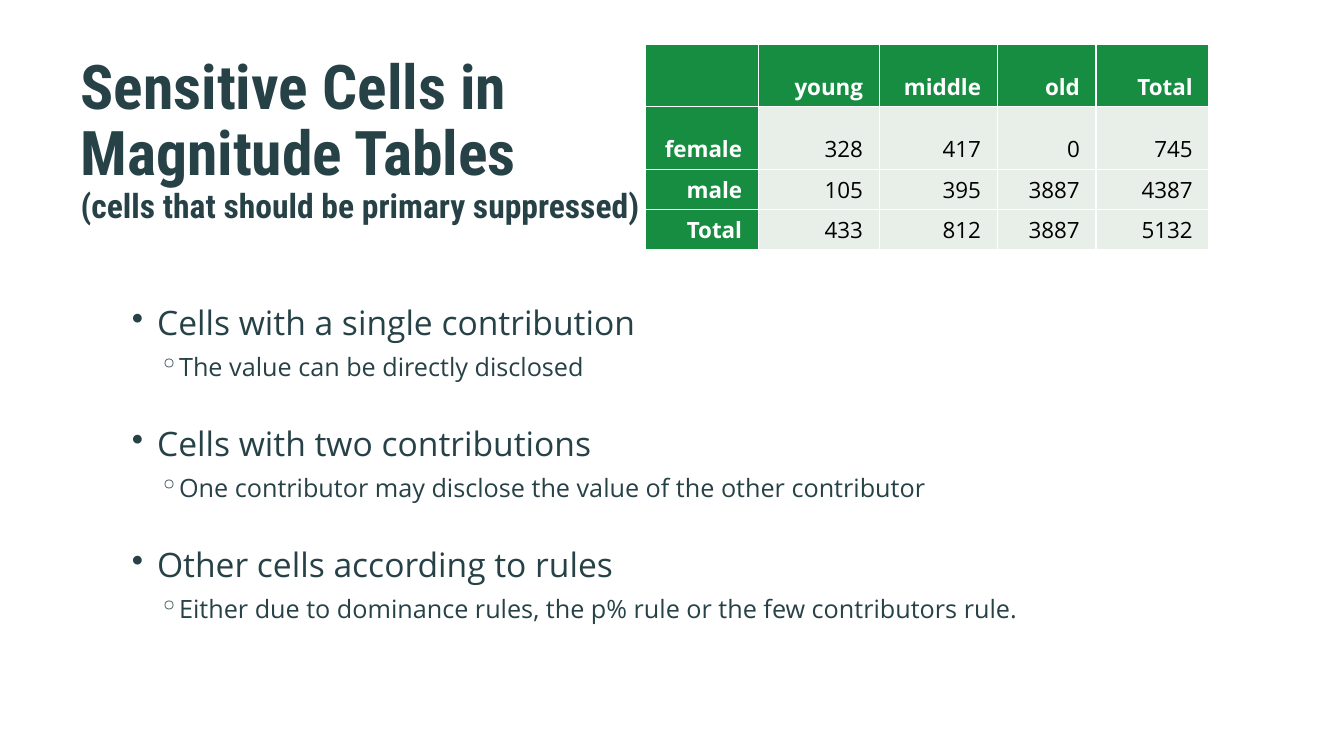
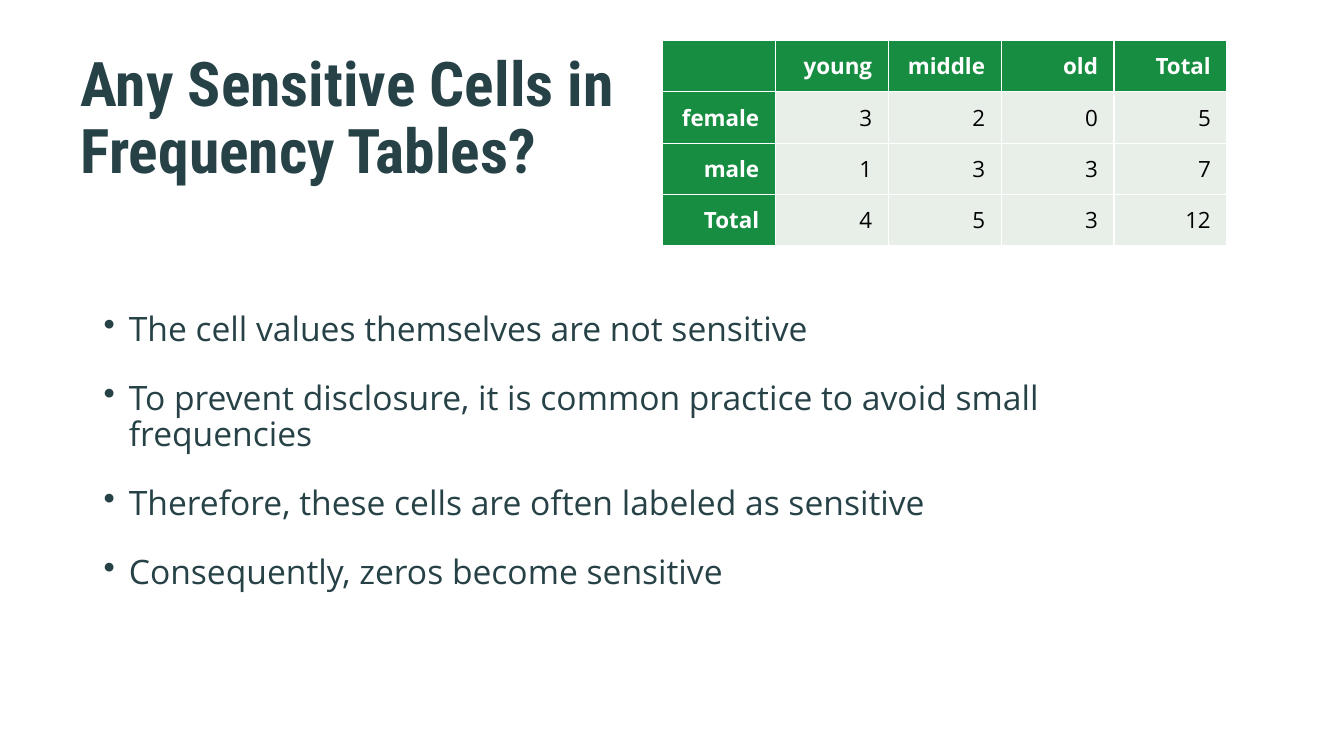
"""Build two slides on sensitive cells in magnitude and frequency tables."""
from pptx import Presentation
from pptx.dml.color import RGBColor
from pptx.enum.text import MSO_ANCHOR, PP_ALIGN
from pptx.oxml.ns import qn
from pptx.util import Pt
from lxml import etree

PX = 9144
INK = RGBColor(0x27, 0x42, 0x47)
GREEN = RGBColor(0x17, 0x8D, 0x41)
PALE = RGBColor(0xE8, 0xEF, 0xE9)
WHITE = RGBColor(0xFF, 0xFF, 0xFF)
BLACK = RGBColor(0x00, 0x00, 0x00)
MIDDLE, BOTTOM, TOP = MSO_ANCHOR.MIDDLE, MSO_ANCHOR.BOTTOM, MSO_ANCHOR.TOP
RIGHT = PP_ALIGN.RIGHT

TITLE = {"name": "Roboto Condensed", "size": Pt(44), "bold": True}
SUBTITLE = {**TITLE, "size": Pt(24)}
POINT = {"name": "Open Sans", "size": Pt(24)}
DETAIL = {**POINT, "size": Pt(18)}
HEADER = {"name": "Open Sans", "size": Pt(16), "bold": True}
VALUE = {**HEADER, "bold": False}
BULLETS = {
    "point": {"char": "•", "margin": 25, "hang": 25, "style": POINT},
    "detail": {"char": "◦", "margin": 43, "hang": 16, "style": DETAIL},
}
AGE_GROUPS = ["", "young", "middle", "old", "Total"]


class Deck:
    """Hold the shared style and the slide being built."""

    def __init__(self):
        self.presentation = Presentation()
        self.presentation.slide_width = 1333 * PX
        self.presentation.slide_height = 750 * PX
        self.slide = None

    def add_slide(self):
        """Start a blank slide."""
        self.slide = self.presentation.slides.add_slide(self.presentation.slide_layouts[6])

    def style_font(self, paragraph, style, color):
        """Apply a dict of font values and a colour."""
        for name, value in style.items():
            setattr(paragraph.font, name, value)
        paragraph.font.color.rgb = color

    def add_text_frame(self, left, top, width, height, anchor):
        """Add a wrapping text box and return its frame."""
        box = self.slide.shapes.add_textbox(left * PX, top * PX, width * PX, height * PX)
        box.text_frame.word_wrap = True
        box.text_frame.vertical_anchor = anchor
        return box.text_frame

    def add_paragraph(self, frame, index, text):
        """Return the frame's paragraph at the index, holding the text."""
        paragraph = frame.add_paragraph() if index else frame.paragraphs[0]
        paragraph.text = text
        return paragraph

    def add_title(self, height, *lines):
        """Add a title with an optional smaller subtitle."""
        frame = self.add_text_frame(70, 30, 579, height, MIDDLE)
        frame.margin_top = 0
        for index, text in enumerate(lines):
            paragraph = self.add_paragraph(frame, index, text)
            paragraph.line_spacing = 0.9
            self.style_font(paragraph, SUBTITLE if index else TITLE, INK)

    def add_bullets(self, left, top, width, items):
        """Add bulleted lines given as level, text and points of space after."""
        frame = self.add_text_frame(left, top, width, 358, TOP)
        for index, (level, text, space_after) in enumerate(items):
            bullet = BULLETS[level]
            paragraph = self.add_paragraph(frame, index, text)
            paragraph.line_spacing = 0.88
            paragraph.space_after = Pt(space_after)
            properties = paragraph._p.get_or_add_pPr()
            properties.set("marL", str(bullet["margin"] * PX))
            properties.set("indent", str(-bullet["hang"] * PX))
            etree.SubElement(properties, qn("a:buChar"), char=bullet["char"])
            self.style_font(paragraph, bullet["style"], INK)

    def add_cell_borders(self, cell):
        """Draw a thin white line on each side of a cell."""
        properties = cell._tc.get_or_add_tcPr()
        for side in ("a:lnL", "a:lnR", "a:lnT", "a:lnB"):
            line = etree.SubElement(properties, qn(side), w=str(Pt(1)))
            fill = etree.SubElement(line, qn("a:solidFill"))
            etree.SubElement(fill, qn("a:srgbClr"), val=str(WHITE))

    def add_table(self, left, top, widths, heights, anchor, rows):
        """Add a table with a green header row and column."""
        table = self.slide.shapes.add_table(
            len(rows), len(widths), left * PX, top * PX, sum(widths) * PX, sum(heights) * PX
        ).table
        table.horz_banding = False
        for column, width in zip(table.columns, widths):
            column.width = width * PX
        for row, height in zip(table.rows, heights):
            row.height = height * PX
        for row_index, values in enumerate(rows):
            for column_index, value in enumerate(values):
                cell = table.cell(row_index, column_index)
                is_header = row_index == 0 or column_index == 0
                self.add_cell_borders(cell)
                cell.fill.solid()
                cell.fill.fore_color.rgb = GREEN if is_header else PALE
                cell.vertical_anchor = anchor
                cell.margin_left = cell.margin_right = 16 * PX
                cell.text = str(value)
                paragraph = cell.text_frame.paragraphs[0]
                paragraph.alignment = RIGHT
                self.style_font(
                    paragraph, HEADER if is_header else VALUE, WHITE if is_header else BLACK
                )


def main():
    """Build and save both slides."""
    deck = Deck()

    deck.add_slide()
    deck.add_title(
        224, "Sensitive Cells in Magnitude Tables", "(cells that should be primary suppressed)"
    )
    deck.add_bullets(121, 300, 1056, [
        ("point", "Cells with a single contribution", 9),
        ("detail", "The value can be directly disclosed", 33),
        ("point", "Cells with two contributions", 9),
        ("detail", "One contributor may disclose the value of the other contributor", 33),
        ("point", "Other cells according to rules", 9),
        ("detail", "Either due to dominance rules, the p% rule or the few contributors rule.", 0),
    ])
    deck.add_table(640, 44, [112, 120, 117, 98, 112], [62, 62, 40, 40], BOTTOM, [
        AGE_GROUPS,
        ["female", 328, 417, 0, 745],
        ["male", 105, 395, 3887, 4387],
        ["Total", 433, 812, 3887, 5132],
    ])

    deck.add_slide()
    deck.add_title(183, "Any Sensitive Cells in Frequency Tables?")
    deck.add_bullets(93, 306, 1036, [
        ("point", text, 24) for text in (
            "The cell values themselves are not sensitive",
            "To prevent disclosure, it is common practice to avoid small frequencies",
            "Therefore, these cells are often labeled as sensitive",
            "Consequently, zeros become sensitive",
        )
    ])
    deck.add_table(657, 40, [112] * 5, [51] * 4, MIDDLE, [
        AGE_GROUPS,
        ["female", 3, 2, 0, 5],
        ["male", 1, 3, 3, 7],
        ["Total", 4, 5, 3, 12],
    ])

    deck.presentation.save("out.pptx")


if __name__ == "__main__":
    main()
